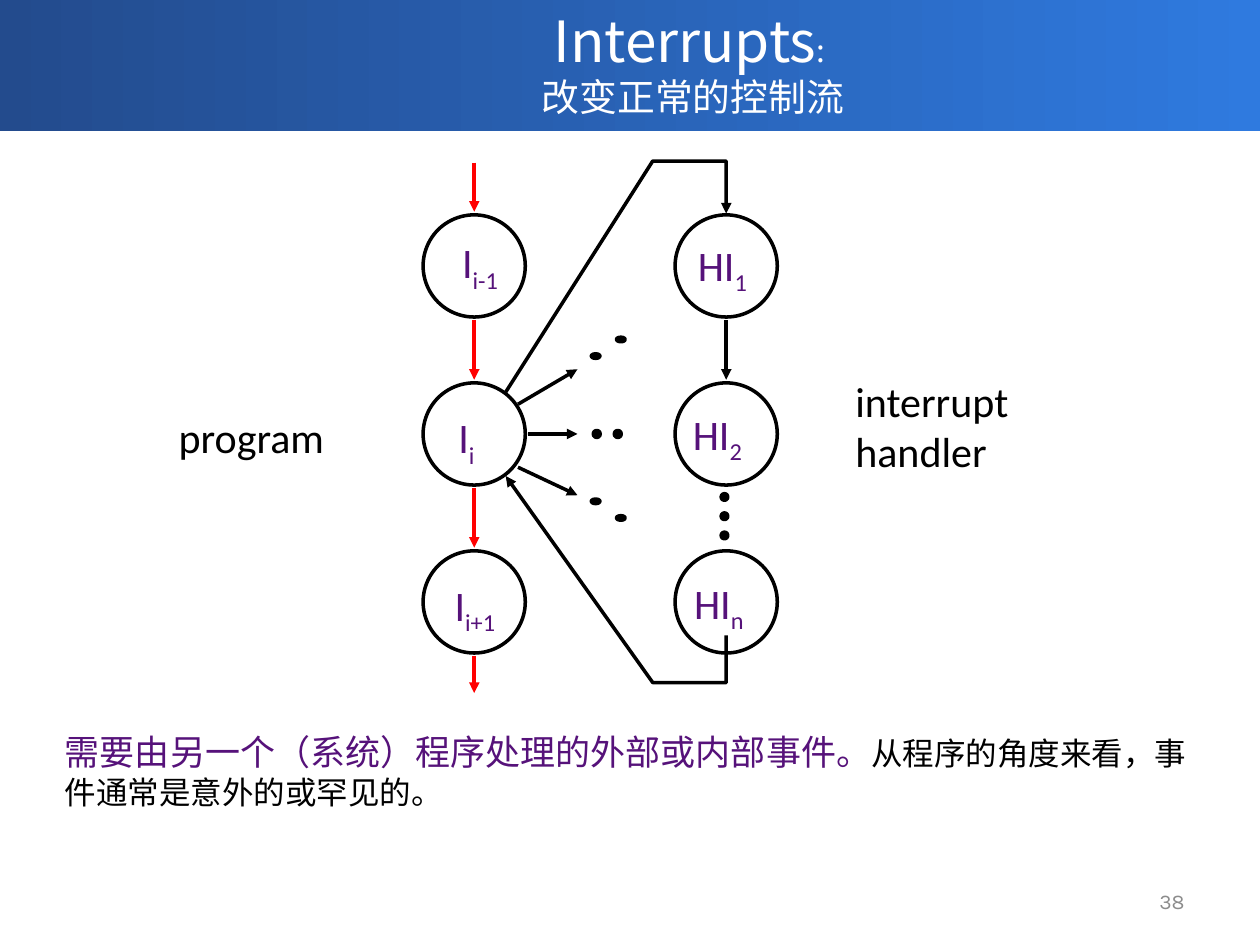
import pptx
import pptx.util
import pptx.dml.color
import pptx.enum.dml
import pptx.enum.shapes
import pptx.enum.text
import pptx.oxml
import pptx.oxml.ns

Pt = pptx.util.Pt
SHAPES = pptx.enum.shapes.MSO_SHAPE
ALIGN = pptx.enum.text.PP_ALIGN
ANCHOR = pptx.enum.text.MSO_ANCHOR
rgb = pptx.dml.color.RGBColor.from_string
BLACK, RED, PURPLE, WHITE = "000000", "FF0000", "56127A", "FFFFFF"
CJK = "Noto Sans CJK SC"

deck = pptx.Presentation()
deck.slide_width, deck.slide_height = Pt(720), Pt(540)
slide = deck.slides.add_slide(deck.slide_layouts[6])
shapes = slide.shapes


def write(box, lines, wrap=False, align=ALIGN.LEFT, anchor=ANCHOR.TOP):
    """Add a text box; lines hold paragraphs of (text, size, font, colour, baseline) runs."""
    frame = shapes.add_textbox(*map(Pt, box)).text_frame
    frame.word_wrap, frame.vertical_anchor = wrap, anchor
    for number, runs in enumerate(lines):
        paragraph = frame.add_paragraph() if number else frame.paragraphs[0]
        paragraph.alignment = align
        for text, size, font, colour, baseline in runs:
            if text == "\n":
                paragraph.add_line_break()
                continue
            run = paragraph.add_run()
            run.text = text
            for name, value in {"size": Pt(size), "name": font}.items():
                setattr(run.font, name, value)
            run.font.color.rgb = rgb(colour)
            properties = run._r.get_or_add_rPr()
            east_asian = pptx.oxml.parse_xml(
                f'<a:ea {pptx.oxml.ns.nsdecls("a")} typeface="{CJK}"/>')
            properties.append(east_asian)
            if baseline:
                properties.set("baseline", str(baseline))


def draw_line(points, colour=BLACK, arrow="tailEnd"):
    """Draw a straight connector, or an open outline when there are bends."""
    corners = [(Pt(x), Pt(y)) for x, y in points]
    if len(corners) == 2:
        line = shapes.add_connector(
            pptx.enum.shapes.MSO_CONNECTOR.STRAIGHT, *corners[0], *corners[1])
        line._element.spPr.append(pptx.oxml.parse_xml(
            f'<a:effectLst {pptx.oxml.ns.nsdecls("a")}/>'))
    else:
        builder = shapes.build_freeform(*corners[0])
        builder.add_line_segments(corners[1:], close=False)
        line = builder.convert_to_shape()
        line.shadow.inherit = False
        line.fill.background()
    line.line.color.rgb = rgb(colour)
    line.line.width = Pt(2)
    line.line._get_or_add_ln().append(pptx.oxml.parse_xml(
        f'<a:{arrow} {pptx.oxml.ns.nsdecls("a")} type="triangle"/>'))


# Title band
band = shapes.add_shape(SHAPES.RECTANGLE, 0, Pt(-2), Pt(720), Pt(77))
band.shadow.inherit = False
band.line.fill.background()
band.fill.gradient()
band.fill.gradient_angle = 0
for stop, (position, colour) in zip(band.fill.gradient_stops,
                                    [(0, "234B8D"), (1, "2F7ADF")]):
    stop.position, stop.color.rgb = position, rgb(colour)
write((72, 0, 648, 71.3),
      [[("Interrupts", 32.4, CJK, WHITE, 0), (": ", 18, CJK, WHITE, 0),
        ("\n", 18, CJK, WHITE, 0), ("改变正常的控制流", 21.6, CJK, WHITE, 0)]],
      wrap=True, align=ALIGN.CENTER, anchor=ANCHOR.MIDDLE)

# Instruction nodes and the dots that stand for further ones
program_x, handler_x = 271, 415
rows = [152, 248, 344]
node_size = 58.4
ellipses = [(x, y, node_size, node_size, None)
            for x in (program_x, handler_x) for y in rows]
ellipses += [(x, 248 + side * rise, 5, 2.6, BLACK)
             for side, near, far in ((-1, 44.5, 54), (1, 38.5, 48))
             for x, rise in ((340.4, near), (354.8, far))]
ellipses += [(x, 248, 4, 4, BLACK) for x in (341, 353)]
ellipses += [(414, 284 + 11 * step, 3.8, 3.8, BLACK) for step in range(3)]
for x, y, width, height, fill in ellipses:
    ellipse = shapes.add_shape(SHAPES.OVAL, Pt(x - width / 2), Pt(y - height / 2),
                               Pt(width), Pt(height))
    ellipse.shadow.inherit = False
    ellipse.line.color.rgb = rgb(BLACK)
    ellipse.line.width = Pt(2)
    if fill:
        ellipse.fill.solid()
        ellipse.fill.fore_color.rgb = rgb(fill)
    else:
        ellipse.fill.background()

# Control flow
for top, bottom in [(93, 121), (183, 217), (279, 313), (375, 396)]:
    draw_line([(program_x, top), (program_x, bottom)], RED)
draw_line([(handler_x, 183), (handler_x, 217)])
for start, end in [((296, 231), (330, 211)), ((302, 248), (330, 248)),
                   ((296, 267), (330, 283))]:
    draw_line([start, end])
draw_line([(289, 224), (373, 92), (handler_x, 92), (handler_x, 122)])
draw_line([(289, 272), (373, 390), (handler_x, 390), (handler_x, 363)], arrow="headEnd")

# Node names
for left, top, width, name, index in [
        (257, 131.8, 37.4, "I", "i-1"), (254.9, 231.8, 24.5, "I", "i"),
        (252.7, 327.6, 40.3, "I", "i+1"), (391.7, 133.2, 43.9, "HI", "1"),
        (388.8, 229.7, 43.9, "HI", "2"), (389.5, 326.2, 43.9, "HI", "n")]:
    write((left, top, width, 36), [[(name, 24, "Calibri", PURPLE, 0),
                                    (index, 24, "Calibri", PURPLE, -25000)]])

# Captions
for box, words in [((95, 231.8, 99.4, 36), ["program"]),
                   ((481.7, 211, 103, 65.5), ["interrupt", "handler"])]:
    write(box, [[(word, 24, "Calibri", BLACK, 0)] for word in words])
write((30, 414, 660, 53.3),
      [[("需要由另一个（系统）程序处理的外部或内部事件。", 20, "Calibri", PURPLE, 0),
        ("从程序的角度来看，事件通常是意外的或罕见的。", 18, "Karla", BLACK, 0)]], wrap=True)
write((516, 500.4, 168, 28.8), [[("38", 12, "Karla", "8C8C8C", 0)]],
      wrap=True, align=ALIGN.RIGHT, anchor=ANCHOR.MIDDLE)

deck.save("out.pptx")
